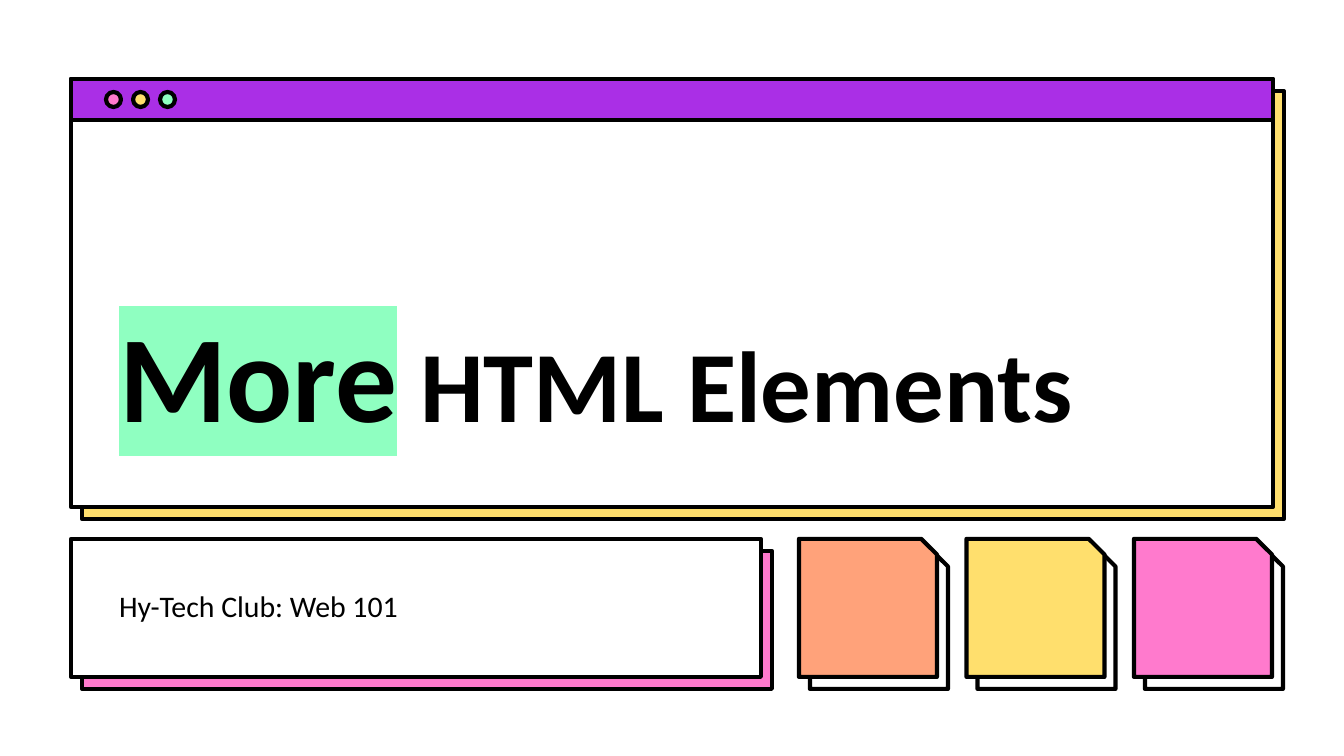
from dataclasses import dataclass

from lxml.etree import SubElement
from pptx import Presentation
from pptx.dml.color import RGBColor
from pptx.enum.shapes import MSO_SHAPE
from pptx.enum.text import MSO_ANCHOR
from pptx.oxml.ns import qn
from pptx.util import Emu, Pt

PX = 914400 / 134.4
SHADOW_X, SHADOW_Y = 11, 12


@dataclass(frozen=True)
class Theme:
    ink: str = "000000"
    paper: str = "FFFFFF"
    purple: str = "AA2FE6"
    pink: str = "FF7ACD"
    yellow: str = "FFDF6D"
    mint: str = "8FFFC1"
    orange: str = "FFA27A"
    font: str = "Calibri"
    accent_size: int = 66
    title_size: int = 54
    subtitle_size: int = 16
    line: float = 2.25


T = Theme()


def px(n):
    return Emu(round(n * PX))


def add_box(s, x, y, w, h, fill, kind=MSO_SHAPE.RECTANGLE):
    sp = s.shapes.add_shape(kind, px(x), px(y), px(w), px(h))
    sp.shadow.inherit = False
    sp.fill.solid()
    sp.fill.fore_color.rgb = RGBColor.from_string(fill)
    sp.line.color.rgb = RGBColor.from_string(T.ink)
    sp.line.width = Pt(T.line)
    if kind == MSO_SHAPE.SNIP_1_RECTANGLE:
        sp.adjustments[0] = 0.113
    return sp


def add_raised_box(s, x, y, w, h, fill, under, kind=MSO_SHAPE.RECTANGLE):
    add_box(s, x + SHADOW_X, y + SHADOW_Y, w, h, under, kind)
    add_box(s, x, y, w, h, fill, kind)


def add_text(s, x, y, w, h, anchor):
    tf = s.shapes.add_textbox(px(x), px(y), px(w), px(h)).text_frame
    tf.word_wrap = True
    tf.vertical_anchor = anchor
    tf.margin_left = tf.margin_right = tf.margin_top = tf.margin_bottom = Pt(7.2)
    p = tf.paragraphs[0]
    p.font.name = T.font
    p.font.color.rgb = RGBColor.from_string(T.ink)
    return p


def add_run(p, text, size, highlight=None):
    r = p.add_run()
    r.text = text
    r.font.size = Pt(size)
    if highlight:
        mark = SubElement(r.font._element, qn("a:highlight"))
        SubElement(mark, qn("a:srgbClr")).set("val", highlight)


def add_window(s, x, y, w, h):
    add_raised_box(s, x, y, w, h, T.paper, T.yellow)
    # Title bar with three buttons
    add_box(s, x, y, w, 41, T.purple)
    for i, fill in enumerate((T.pink, T.yellow, T.mint)):
        add_box(s, x + 35 + 27 * i, y + 13, 15, 15, fill, MSO_SHAPE.OVAL)
    # Title
    p = add_text(s, x + 35, y + 88, 1133, 294, MSO_ANCHOR.BOTTOM)
    p.font.bold = True
    add_run(p, "More", T.accent_size, T.mint)
    add_run(p, " HTML Elements", T.title_size)


def add_subtitle(s, x, y, w, h):
    add_raised_box(s, x, y, w, h, T.paper, T.pink)
    p = add_text(s, x + 35, y + 35, 610, 66, MSO_ANCHOR.TOP)
    p.font.size = Pt(T.subtitle_size)
    p.add_run().text = "Hy-Tech Club: Web 101"


def add_cards(s, x, y, w, h):
    fills = (T.orange, T.yellow, T.pink)
    step = (w - h) / (len(fills) - 1)
    for i, fill in enumerate(fills):
        add_raised_box(s, x + step * i, y, h, h, fill, T.paper,
                       MSO_SHAPE.SNIP_1_RECTANGLE)


def main():
    prs = Presentation()
    prs.slide_width, prs.slide_height = px(1344), px(756)
    s = prs.slides.add_slide(prs.slide_layouts[6])
    add_window(s, 71, 79, 1202, 428)
    add_subtitle(s, 71, 539, 690, 138)
    add_cards(s, 799, 539, 473, 138)
    prs.save("out.pptx")


if __name__ == "__main__":
    main()
